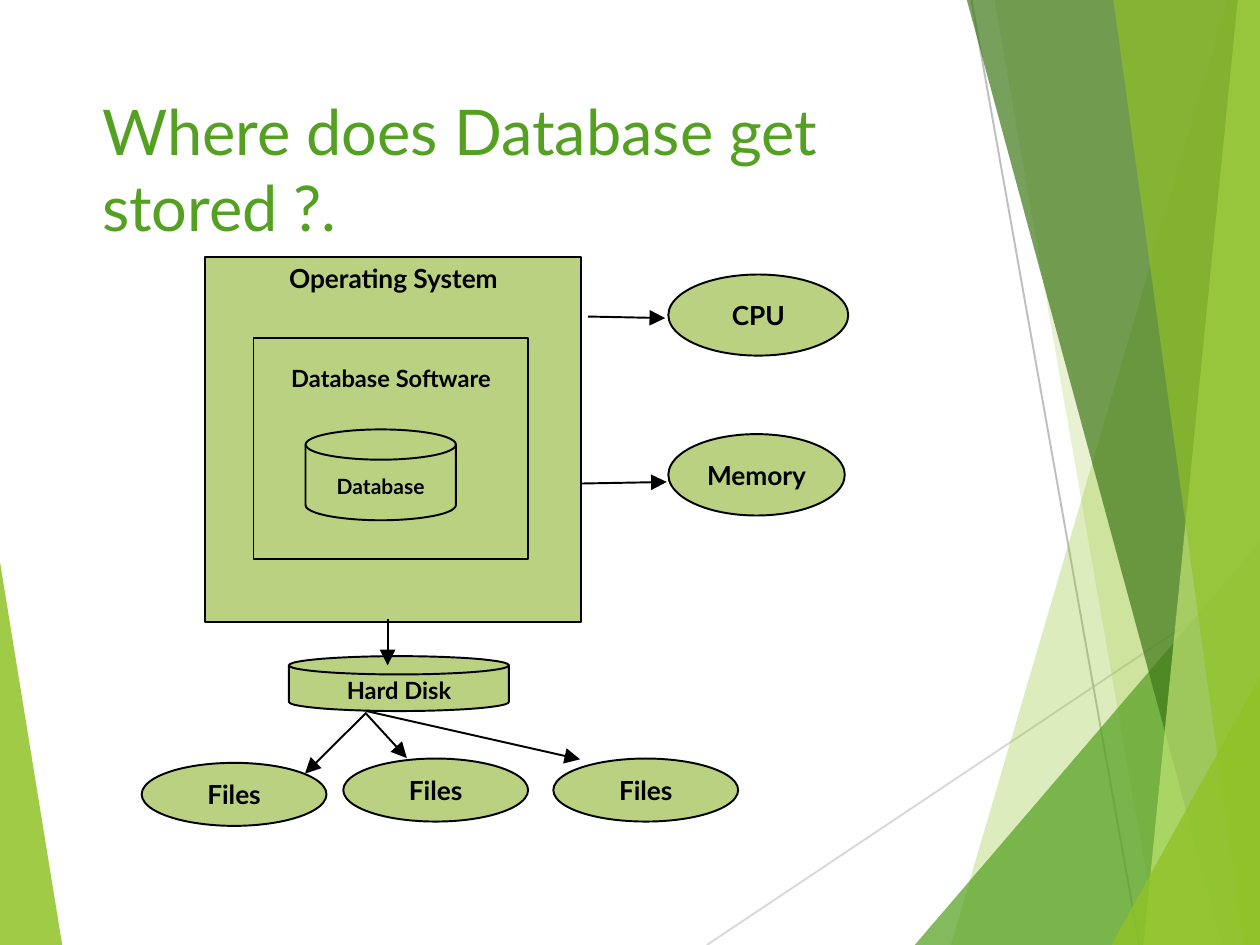
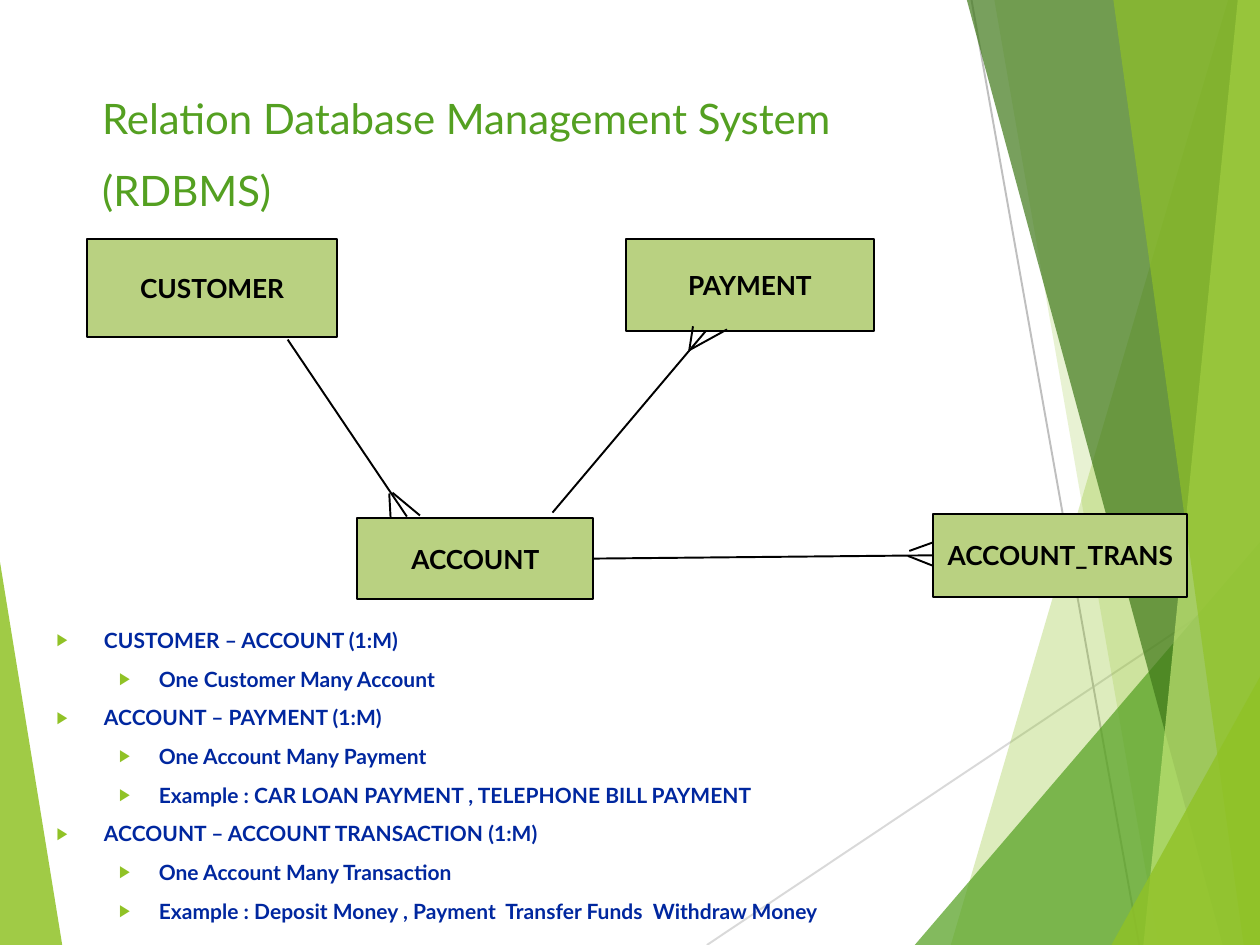
"""Builds two database slides: storage layout and RDBMS relations."""
import dataclasses

import pptx
import pptx.dml.color
import pptx.enum.shapes
import pptx.enum.text
import pptx.oxml
import pptx.oxml.ns
import pptx.util

Pt = pptx.util.Pt
RGB = pptx.dml.color.RGBColor.from_string
SHAPE = pptx.enum.shapes.MSO_SHAPE
ANCHOR = pptx.enum.text.MSO_ANCHOR
ALIGN = pptx.enum.text.PP_ALIGN
TOP, LEFT, BOTTOM, RIGHT = range(4)


@dataclasses.dataclass(frozen=True)
class Theme:
    font: str = "Lato"
    lime: str = "90C226"
    green: str = "54A021"
    forest: str = "3F7819"
    pale: str = "C0E474"
    node: str = "B9D181"
    ink: str = "000000"
    navy: str = "00279F"
    light_gray: str = "D9D9D9"
    gray: str = "BFBFBF"
    title_size: float = 24
    subtitle_size: float = 16
    node_size: float = 10
    inner_size: float = 9
    small_size: float = 8
    stroke: float = 0.75


def drawing_element(tag, **attributes):
    element = pptx.oxml.parse_xml(f"<a:{tag} {pptx.oxml.ns.nsdecls('a')}/>")
    for key, value in attributes.items():
        element.set(key, value)
    return element


class Deck:
    def __init__(self, theme):
        self.theme = theme
        self.presentation = pptx.Presentation()
        self.presentation.slide_width = Pt(480)
        self.presentation.slide_height = Pt(360)
        self.slide = None

    def add_slide(self, layout_index):
        layout = self.presentation.slide_layouts[layout_index]
        self.slide = self.presentation.slides.add_slide(layout)

    def run(self, paragraph, text, size, color, bold=False):
        run = paragraph.add_run()
        run.text = text
        run.font.name = self.theme.font
        run.font.size = Pt(size)
        run.font.bold = bold
        run.font.color.rgb = RGB(color)

    def frame(self, shape, anchor, side, edge, wrap):
        frame = shape.text_frame
        frame.auto_size = pptx.enum.text.MSO_AUTO_SIZE.NONE
        frame.word_wrap = wrap
        frame.vertical_anchor = anchor
        frame.margin_left = frame.margin_right = Pt(side)
        frame.margin_top = frame.margin_bottom = Pt(edge)
        return frame

    def place(self, placeholder, left, top, width, height):
        placeholder.left, placeholder.top = Pt(left), Pt(top)
        placeholder.width, placeholder.height = Pt(width), Pt(height)
        return self.frame(placeholder, ANCHOR.TOP, 7.2, 3.6, True)

    def title(self, *parts):
        frame = self.place(self.slide.shapes.title, 31.7, 31.7, 333.4, 69.1)
        heading = frame.paragraphs[0]
        heading.alignment = ALIGN.LEFT
        for text, size in parts:
            self.run(heading, text, size, self.theme.green)

    def bullets(self, items, left, top, width, height):
        frame = self.place(self.slide.placeholders[1], left, top, width, height)
        for index, (level, text) in enumerate(items):
            item = frame.add_paragraph() if index else frame.paragraphs[0]
            item.level = level
            item.line_spacing = 0.85
            item.space_before = Pt(6.6 if index else 0)
            margin, hanging = ((18, 18), (38.9, 15.1))[level]
            properties = item._p.get_or_add_pPr()
            properties.set("marL", str(Pt(margin)))
            properties.set("indent", str(-Pt(hanging)))
            bullet_color = drawing_element("buClr")
            bullet_color.append(drawing_element("srgbClr", val=self.theme.lime))
            properties.append(bullet_color)
            properties.append(drawing_element("buSzPct", val="80000"))
            properties.append(drawing_element("buChar", char="▶"))
            self.run(item, text, self.theme.small_size, self.theme.navy, True)

    def node(self, kind, text, left, top, width, height, size=None, inset=None):
        shape = self.slide.shapes.add_shape(kind, Pt(left), Pt(top), Pt(width), Pt(height))
        shape.shadow.inherit = False
        shape.fill.solid()
        shape.fill.fore_color.rgb = RGB(self.theme.node)
        shape.line.color.rgb = RGB(self.theme.ink)
        shape.line.width = Pt(self.theme.stroke)
        anchor = ANCHOR.MIDDLE if inset is None else ANCHOR.TOP
        frame = self.frame(shape, anchor, 5, 2.2 if inset is None else inset, False)
        label = frame.paragraphs[0]
        label.alignment = ALIGN.CENTER
        label.line_spacing = Pt(12)
        self.run(label, text, size or self.theme.node_size, self.theme.ink, True)
        return shape

    def line(self, start, end, color=None, arrow=False):
        connector = self.slide.shapes.add_connector(
            pptx.enum.shapes.MSO_CONNECTOR.STRAIGHT, *map(Pt, (*start, *end)))
        connector.line.color.rgb = RGB(color or self.theme.ink)
        connector.line.width = Pt(self.theme.stroke)
        if arrow:
            connector.get_or_add_ln().append(drawing_element("tailEnd", type="triangle"))
        connector.element.spPr.append(drawing_element("effectLst"))
        return connector

    def facet(self, points, color, opacity):
        start, *others = [(Pt(x), Pt(y)) for x, y in points]
        builder = self.slide.shapes.build_freeform(*start, scale=1.0)
        builder.add_line_segments(others, close=True)
        shape = builder.convert_to_shape()
        shape.shadow.inherit = False
        shape.fill.solid()
        shape.fill.fore_color.rgb = RGB(color)
        tint = shape.element.spPr.find(".//" + pptx.oxml.ns.qn("a:srgbClr"))
        tint.append(drawing_element("alpha", val=str(opacity * 1000)))
        shape.line.fill.background()
        return shape

    def backdrop(self):
        theme = self.theme
        right, bottom = 480.5, 360
        parts = [
            self.facet([(-0.5, 211), (23.8, 360.5), (-0.5, bottom)], theme.lime, 85),
            self.line((269.3, bottom), (right, 218.9), theme.light_gray),
            self.line((370.1, 0), (434, bottom), theme.gray),
        ]
        bands = [
            (468, 362.2, theme.lime, 30),
            (378.7, 441.4, theme.lime, 20),
            (None, 348.5, theme.green, 72),
            (368.2, 465.8, theme.forest, 70),
            (471.6, 435.6, theme.pale, 70),
            (424.1, 473.8, theme.lime, 65),
            (None, 423.4, theme.lime, 80),
        ]
        corner_tops = iter((205.9, 257))
        for top_x, bottom_x, color, opacity in bands:
            if top_x is None:
                outline = [(bottom_x, bottom), (right, next(corner_tops)), (right, bottom)]
            else:
                outline = [(top_x, -0.5), (bottom_x, bottom), (right, bottom), (right, -0.5)]
            parts.append(self.facet(outline, color, opacity))
        master_tree = self.presentation.slide_master.shapes.element
        for part in parts:
            master_tree.append(part.element)


def storage_slide(deck):
    theme = deck.theme
    deck.title(("Where does Database get stored ?.", theme.title_size))
    process, disk = SHAPE.FLOWCHART_PROCESS, SHAPE.FLOWCHART_MAGNETIC_DISK
    deck.node(process, "Operating System", 78.2, 97.9, 143.3, 139, inset=2.2)
    deck.node(process, "Database Software", 96.6, 128.8, 104.6, 84.2, theme.inner_size, 8.5)
    deck.node(disk, "Database", 116.4, 163.6, 57.3, 34.6, theme.small_size)
    deck.node(SHAPE.OVAL, "CPU", 254.6, 104.6, 68.5, 30.9)
    deck.node(SHAPE.OVAL, "Memory", 254.6, 165.4, 67.2, 31)
    deck.node(disk, "Hard Disk", 110.1, 250, 83.8, 20.9, theme.inner_size)
    for left, top in ((54, 290.6), (130.8, 289), (210.8, 289)):
        deck.node(SHAPE.OVAL, "Files", left, top, 70.4, 24)
    for start, end in (
        ((147.7, 235.7), (147.7, 253.5)),
        ((139.6, 271.5), (116.2, 294.7)),
        ((139.6, 272), (155, 288.8)),
        ((139.6, 270.9), (221, 289.3)),
        ((224, 120.6), (253.4, 121.2)),
        ((221.6, 184.2), (254, 183.6)),
    ):
        deck.line(start, end, arrow=True)


def relation_slide(deck):
    theme = deck.theme
    deck.title(("Relation Database Management System (RDBMS)", theme.subtitle_size),
               (" ", theme.title_size))
    deck.bullets([
        (0, "CUSTOMER – ACCOUNT (1:M)"),
        (1, "One Customer Many Account"),
        (0, "ACCOUNT – PAYMENT (1:M)"),
        (1, "One Account Many Payment"),
        (1, "Example : CAR LOAN PAYMENT , TELEPHONE BILL PAYMENT"),
        (0, "ACCOUNT – ACCOUNT TRANSACTION (1:M)"),
        (1, "One Account Many Transaction"),
        (1, "Example : Deposit Money , Payment  Transfer Funds  Withdraw Money"),
    ], 14.4, 236.9, 347, 123.1)
    account = deck.node(SHAPE.RECTANGLE, "ACCOUNT", 136.1, 197.3, 90, 31)
    deck.node(SHAPE.RECTANGLE, "PAYMENT", 238.3, 91.1, 94.7, 35.1)
    deck.node(SHAPE.RECTANGLE, "CUSTOMER", 33.1, 90.9, 95.4, 37.6)
    transactions = deck.node(SHAPE.RECTANGLE, "ACCOUNT_TRANS", 355.6, 195.8, 96.6, 31.5)
    deck.line((109.6, 129.4), (155, 196.8))
    deck.line((210.5, 195.3), (268.8, 126.2))
    posting = deck.line((226.1, 212.8), (355.6, 211.5))
    posting.begin_connect(account, RIGHT)
    posting.end_connect(transactions, LEFT)
    for start, end in (
        ((148.3, 188), (148.8, 197.2)),
        ((149.5, 187.7), (160, 196.4)),
        ((262.6, 133.4), (264, 124.3)),
        ((262.6, 133.4), (277, 125.5)),
        ((346.4, 209.9), (355.3, 206.7)),
        ((345.9, 211.8), (355.3, 215.5)),
    ):
        deck.line(start, end)


def main():
    deck = Deck(Theme())
    deck.add_slide(5)
    deck.backdrop()
    storage_slide(deck)
    deck.add_slide(1)
    relation_slide(deck)
    deck.presentation.save("out.pptx")


if __name__ == "__main__":
    main()
